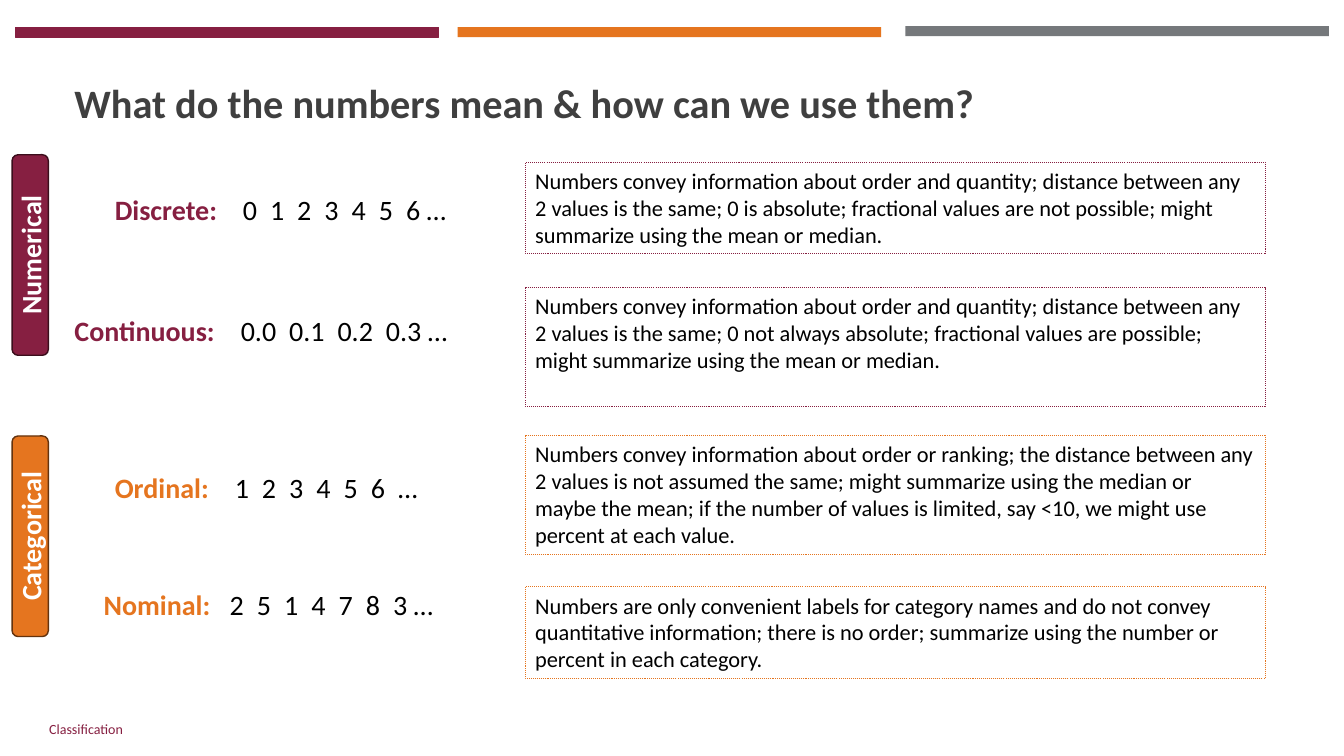
from dataclasses import dataclass

from lxml import etree
from pptx import Presentation
from pptx import util as u
from pptx.dml.color import RGBColor
from pptx.enum import dml, shapes, text
from pptx.oxml.ns import qn


@dataclass(frozen=True)
class Theme:
    font: str = "Calibri"
    maroon: str = "861F41"
    orange: str = "E5751F"
    gray: str = "75787B"
    title: str = "3F3F3F"
    black: str = "000000"
    white: str = "FFFFFF"
    maroon_edge: str = "3B0E1C"
    orange_edge: str = "64330E"
    title_pt: float = 28.8
    label_pt: float = 20
    body_pt: float = 16
    footer_pt: float = 10


T = Theme()


@dataclass(frozen=True)
class Bar:
    left: float
    top: float
    color: str


@dataclass(frozen=True)
class Group:
    name: str
    center_y: float
    color: str
    edge: str


@dataclass(frozen=True)
class Scale:
    label: str
    values: list[str]
    left: float
    top: float
    first_tab: float
    step: float
    color: str
    note: str
    note_top: float
    note_height: float


BARS = [
    Bar(0.15, 0.27, T.maroon),
    Bar(4.54, 0.27, T.orange),
    Bar(8.98, 0.26, T.gray),
]
GROUPS = [
    Group("Numerical", 2.53, T.maroon, T.maroon_edge),
    Group("Categorical", 5.32, T.orange, T.orange_edge),
]
SCALES = [
    Scale("Discrete:", ["0", "1", "2", "3", "4", "5", "6 …"],
          1.04, 1.86, 1.27, 0.27, T.maroon,
          "Numbers convey information about order and quantity; distance between any "
          "2 values is the same; 0 is absolute; fractional values are not possible; "
          "might summarize using the mean or median.", 1.61, 0.91),
    Scale("Continuous:", ["0.0", "0.1", "0.2", "0.3 …"],
          0.64, 3.06, 1.65, 0.48, T.maroon,
          "Numbers convey information about order and quantity; distance between any "
          "2 values is the same; 0 not always absolute; fractional values are possible; "
          "might summarize using the mean or median.", 2.85, 1.18),
    Scale("Ordinal:", ["1", "2", "3", "4", "5", "6", "…"],
          1.04, 4.62, 1.19, 0.27, T.orange,
          "Numbers convey information about order or ranking; the distance between any "
          "2 values is not assumed the same; might summarize using the median or maybe "
          "the mean; if the number of values is limited, say <10, we might use percent "
          "at each value.", 4.32, 1.18),
    Scale("Nominal:", ["2", "5", "1", "4", "7", "8", "3 …"],
          0.93, 5.78, 1.25, 0.27, T.orange,
          "Numbers are only convenient labels for category names and do not convey "
          "quantitative information; there is no order; summarize using the number or "
          "percent in each category.", 5.82, 0.91),
]


def rgb(color: str) -> RGBColor:
    return RGBColor.from_string(color)


def box(left: float, top: float, width: float, height: float) -> list[int]:
    return [u.Inches(v) for v in (left, top, width, height)]


def add_box(s, kind, place: list[int], fill: str | None, line: str | None,
            line_pt: float = 0.75):
    sp = s.shapes.add_shape(kind, *place)
    sp.shadow.inherit = False
    if fill:
        sp.fill.solid()
        sp.fill.fore_color.rgb = rgb(fill)
    else:
        sp.fill.background()
    if line:
        sp.line.color.rgb = rgb(line)
        sp.line.width = u.Pt(line_pt)
    else:
        sp.line.fill.background()
    return sp


def write(sp, words: str, size: float, color: str, bold: bool = False,
          align=text.PP_ALIGN.LEFT, anchor=text.MSO_ANCHOR.TOP):
    tf = sp.text_frame
    tf.word_wrap = True
    tf.vertical_anchor = anchor
    p = tf.paragraphs[0]
    p.text = words
    p.alignment = align
    p.font.name, p.font.size, p.font.bold = T.font, u.Pt(size), bold
    p.font.color.rgb = rgb(color)
    return p


def add_scale(s, scale: Scale) -> None:
    # Label and evenly tabbed sample values
    sp = s.shapes.add_textbox(*box(scale.left, scale.top, 4.17, 0.44))
    tf = sp.text_frame
    tf.word_wrap = True
    p = tf.paragraphs[0]
    tabs = etree.SubElement(p._p.get_or_add_pPr(), qn("a:tabLst"))
    for i in range(len(scale.values)):
        stop = u.Inches(scale.first_tab + i * scale.step)
        etree.SubElement(tabs, qn("a:tab"), pos=str(stop), algn="l")
    p.font.name, p.font.size = T.font, u.Pt(T.label_pt)
    samples = "".join("\t" + value for value in scale.values)
    for words, color, bold in ((scale.label, scale.color, True),
                               (samples, T.black, False)):
        r = p.add_run()
        r.text = words
        r.font.bold = bold
        r.font.color.rgb = rgb(color)

    # Dotted explanation box
    note = add_box(s, shapes.MSO_SHAPE.RECTANGLE,
                   box(5.21, scale.note_top, 7.34, scale.note_height),
                   None, scale.color)
    note.line.dash_style = dml.MSO_LINE.ROUND_DOT
    write(note, scale.note, T.body_pt, T.black)


def add_group(s, group: Group) -> None:
    width, height = 1.99, 0.36
    place = box(0.3 - width / 2, group.center_y - height / 2, width, height)
    sp = add_box(s, shapes.MSO_SHAPE.ROUNDED_RECTANGLE, place,
                 group.color, group.edge, 1)
    sp.rotation = 270
    write(sp, group.name, T.label_pt, T.white, True,
          text.PP_ALIGN.CENTER, text.MSO_ANCHOR.MIDDLE)


def main() -> None:
    prs = Presentation()
    prs.slide_width, prs.slide_height = u.Inches(13.33), u.Inches(7.5)
    s = prs.slides.add_slide(prs.slide_layouts[6])

    # Top bars
    for bar in BARS:
        add_box(s, shapes.MSO_SHAPE.RECTANGLE, box(bar.left, bar.top, 4.2, 0.1),
                bar.color, T.maroon if bar.color == T.maroon else None)

    # Title
    p = write(s.shapes.add_textbox(*box(0.64, 0.77, 12.06, 0.54)),
              "What do the numbers mean & how can we use them?",
              T.title_pt, T.title, True, anchor=text.MSO_ANCHOR.BOTTOM)
    p.line_spacing = 0.9

    # Measurement scales and their groups
    for scale in SCALES:
        add_scale(s, scale)
    for group in GROUPS:
        add_group(s, group)

    # Footer
    write(s.shapes.add_textbox(*box(0.39, 7.03, 7.46, 0.4)), "Classification",
          T.footer_pt, T.maroon, anchor=text.MSO_ANCHOR.MIDDLE)

    prs.save("out.pptx")


if __name__ == "__main__":
    main()
